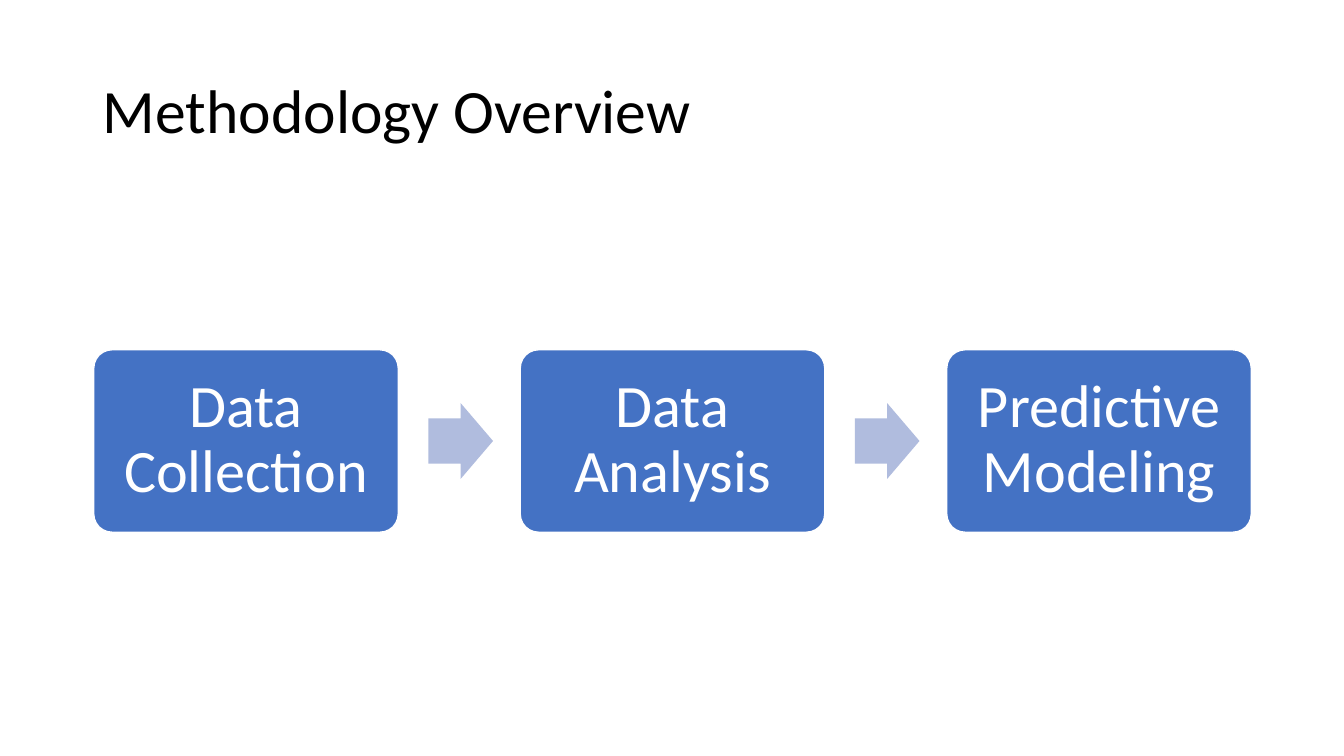
from pptx import Presentation
from pptx import util as u
from pptx.dml.color import RGBColor
from pptx.enum import shapes, text

COLORS = {"title": "000000", "step": "4472C4", "arrow": "B0BCDE", "white": "FFFFFF"}
STEPS = ["Data Collection", "Data Analysis", "Predictive Modeling"]


def color(name):
    return RGBColor.from_string(COLORS[name])


def apply_format(target, values):
    for attribute, value in values.items():
        setattr(target, attribute, value)


def write_text(part, wording, size, tone, align, inset_x, inset_y):
    frame = part.text_frame
    frame.text = wording
    apply_format(frame, {
        "word_wrap": True,
        "auto_size": text.MSO_AUTO_SIZE.NONE,
        "vertical_anchor": text.MSO_ANCHOR.MIDDLE,
        "margin_left": u.Inches(inset_x),
        "margin_right": u.Inches(inset_x),
        "margin_top": u.Inches(inset_y),
        "margin_bottom": u.Inches(inset_y),
    })
    paragraph = frame.paragraphs[0]
    apply_format(paragraph, {"alignment": align, "line_spacing": 0.9})
    apply_format(paragraph.font, {"name": "Calibri", "size": u.Pt(size)})
    paragraph.font.color.rgb = color(tone)


def add_title(slide, left, top, width, height):
    title = slide.shapes.title
    apply_format(title, {
        "left": u.Inches(left), "top": u.Inches(top),
        "width": u.Inches(width), "height": u.Inches(height),
    })
    write_text(title, "Methodology Overview", 44, "title", text.PP_ALIGN.LEFT, 0.1, 0.05)


def add_block(process, kind, box, fill, adjustments):
    block = process.shapes.add_shape(kind, *map(u.Inches, box))
    block.shadow.inherit = False
    block.fill.solid()
    block.fill.fore_color.rgb = color(fill)
    block.line.fill.background()
    for index, value in enumerate(adjustments):
        block.adjustments[index] = value
    return block


def add_process(slide, left, top, width, height):
    step_width, arrow_width, arrow_height = 3.02, 0.64, 0.75
    pitch = (width - step_width) / (len(STEPS) - 1)
    arrow_top = top + (height - arrow_height) / 2
    process = slide.shapes.add_group_shape()
    for index, wording in enumerate(STEPS):
        step_left = left + index * pitch
        step = add_block(process, shapes.MSO_SHAPE.ROUNDED_RECTANGLE,
                         (step_left, top, step_width, height), "step", [0.1])
        step.line.color.rgb = color("white")
        step.line.width = u.Pt(1)
        write_text(step, wording, 43, "white", text.PP_ALIGN.CENTER, 0.2, 0.2)
        if index < len(STEPS) - 1:
            arrow_left = step_left + step_width + 0.3
            add_block(process, shapes.MSO_SHAPE.RIGHT_ARROW,
                      (arrow_left, arrow_top, arrow_width, arrow_height), "arrow", [0.6, 0.5])


def main():
    deck = Presentation()
    deck.slide_width, deck.slide_height = u.Inches(13.33), u.Inches(7.5)
    slide = deck.slides.add_slide(deck.slide_layouts[5])
    add_title(slide, 0.92, 0.4, 11.5, 1.45)
    add_process(slide, 0.93, 3.47, 11.48, 1.81)
    deck.save("out.pptx")


if __name__ == "__main__":
    main()
